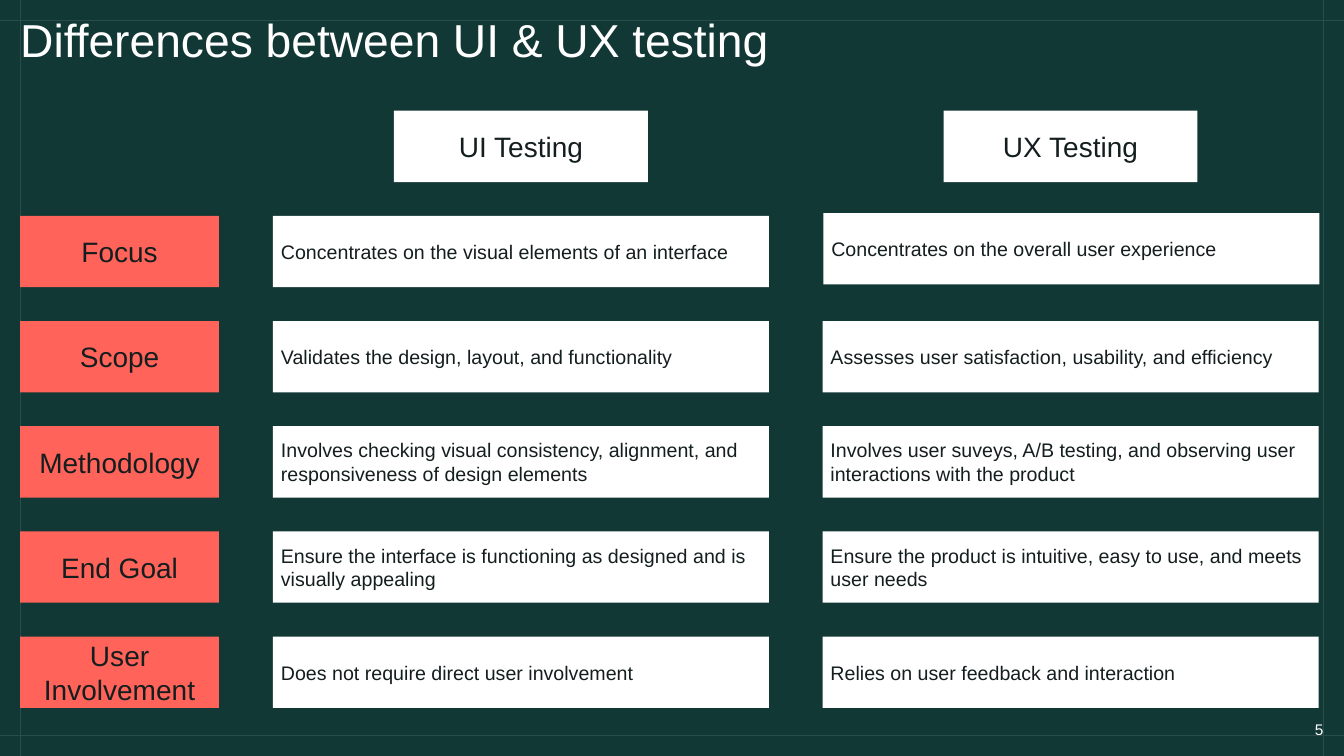
from dataclasses import dataclass

from lxml.etree import SubElement
from pptx import Presentation
from pptx.dml.color import RGBColor
from pptx.enum.shapes import MSO_CONNECTOR, MSO_SHAPE
from pptx.enum.text import MSO_ANCHOR, PP_ALIGN
from pptx.oxml.ns import qn
from pptx.util import Cm, Pt


@dataclass(frozen=True)
class Theme:
    """Colours, font and type sizes."""
    back: str = "123836"
    guide: str = "2A4C4A"
    white: str = "FFFFFF"
    coral: str = "FF6359"
    ink: str = "141E1E"
    font: str = "Arial"
    title: int = 33
    label: int = 20
    body: int = 14
    number: int = 11


class Deck:
    """Draws elements on the current slide in one style."""

    def __init__(self, prs, theme):
        """Add a blank slide with the theme's background."""
        self.theme = theme
        self.s = prs.slides.add_slide(prs.slide_layouts[6])
        fill = self.s.background.fill
        fill.solid()
        fill.fore_color.rgb = RGBColor.from_string(theme.back)

    def set_text(self, sp, text, size, color, align, anchor, insets):
        """Set and format the text of a shape."""
        tf = sp.text_frame
        tf.word_wrap = True
        tf.vertical_anchor = anchor
        tf.margin_left = tf.margin_right = Cm(insets[0])
        tf.margin_top = tf.margin_bottom = Cm(insets[1])
        tf.text = text
        p = tf.paragraphs[0]
        p.alignment = align
        font = p.runs[0].font
        font.name = self.theme.font
        font.size = Pt(size)
        font.color.rgb = RGBColor.from_string(color)
        return p

    def text(self, x, y, w, h, text, size, align=PP_ALIGN.LEFT, anchor=MSO_ANCHOR.TOP):
        """Add a white text box without insets."""
        sp = self.s.shapes.add_textbox(Cm(x), Cm(y), Cm(w), Cm(h))
        return self.set_text(sp, text, size, self.theme.white, align, anchor, (0, 0))

    def box(self, x, y, w, h, text, fill, size, align=PP_ALIGN.CENTER):
        """Add a filled rectangle with dark text."""
        sp = self.s.shapes.add_shape(MSO_SHAPE.RECTANGLE, Cm(x), Cm(y), Cm(w), Cm(h))
        sp.shadow.inherit = False
        sp.fill.solid()
        sp.fill.fore_color.rgb = RGBColor.from_string(fill)
        sp.line.fill.background()
        self.set_text(sp, text, size, self.theme.ink, align, MSO_ANCHOR.MIDDLE, (0.2, 0.1))

    def line(self, x1, y1, x2, y2):
        """Add a thin guide line."""
        line = self.s.shapes.add_connector(
            MSO_CONNECTOR.STRAIGHT, Cm(x1), Cm(y1), Cm(x2), Cm(y2))
        line.line.color.rgb = RGBColor.from_string(self.theme.guide)
        line.line.width = Pt(0.5)
        SubElement(line._element.spPr, qn("a:effectLst"))


WIDTH, HEIGHT, MARGIN = 33.87, 19.05, 0.52
LABEL_X, LABEL_W = 0.51, 5.01
COLUMN_W, HEADER_W, BOX_H = 12.5, 6.4, 1.8
HEADER_Y, FIRST_Y, PITCH = 2.79, 5.44, 2.65
COLUMNS = [(6.88, "UI Testing"), (20.73, "UX Testing")]
ROWS = [
    ("Focus",
     "Concentrates on the visual elements of an interface",
     "Concentrates on the overall user experience"),
    ("Scope",
     "Validates the design, layout, and functionality",
     "Assesses user satisfaction, usability, and efficiency"),
    ("Methodology",
     "Involves checking visual consistency, alignment, and responsiveness of design elements",
     "Involves user suveys, A/B testing, and observing user interactions with the product"),
    ("End Goal",
     "Ensure the interface is functioning as designed and is visually appealing",
     "Ensure the product is intuitive, easy to use, and meets user needs"),
    ("User Involvement",
     "Does not require direct user involvement",
     "Relies on user feedback and interaction"),
]
NUDGES = {(0, 1): (0.02, -0.07)}


def main():
    """Build the comparison slide."""
    prs = Presentation()
    prs.slide_width, prs.slide_height = Cm(WIDTH), Cm(HEIGHT)
    theme = Theme()
    deck = Deck(prs, theme)

    for x in (MARGIN, WIDTH - MARGIN):
        deck.line(x, 0, x, HEIGHT)
    for y in (MARGIN, HEIGHT - MARGIN):
        deck.line(0, y, WIDTH, y)

    title = deck.text(0.51, 0.51, 32.85, 2.64,
                      "Differences between UI & UX testing", theme.title)
    title.line_spacing = 0.83
    deck.text(25.81, 18.08, 7.54, 0.53, "5", theme.number,
              PP_ALIGN.RIGHT, MSO_ANCHOR.BOTTOM)

    for x, name in COLUMNS:
        deck.box(x + (COLUMN_W - HEADER_W) / 2, HEADER_Y, HEADER_W, BOX_H,
                 name, theme.white, theme.label)
    for i, (label, *cells) in enumerate(ROWS):
        y = FIRST_Y + i * PITCH
        deck.box(LABEL_X, y, LABEL_W, BOX_H, label, theme.coral, theme.label)
        for j, ((x, _), cell) in enumerate(zip(COLUMNS, cells)):
            dx, dy = NUDGES.get((i, j), (0, 0))
            deck.box(x + dx, y + dy, COLUMN_W, BOX_H, cell,
                     theme.white, theme.body, PP_ALIGN.LEFT)

    prs.save("out.pptx")


if __name__ == "__main__":
    main()
